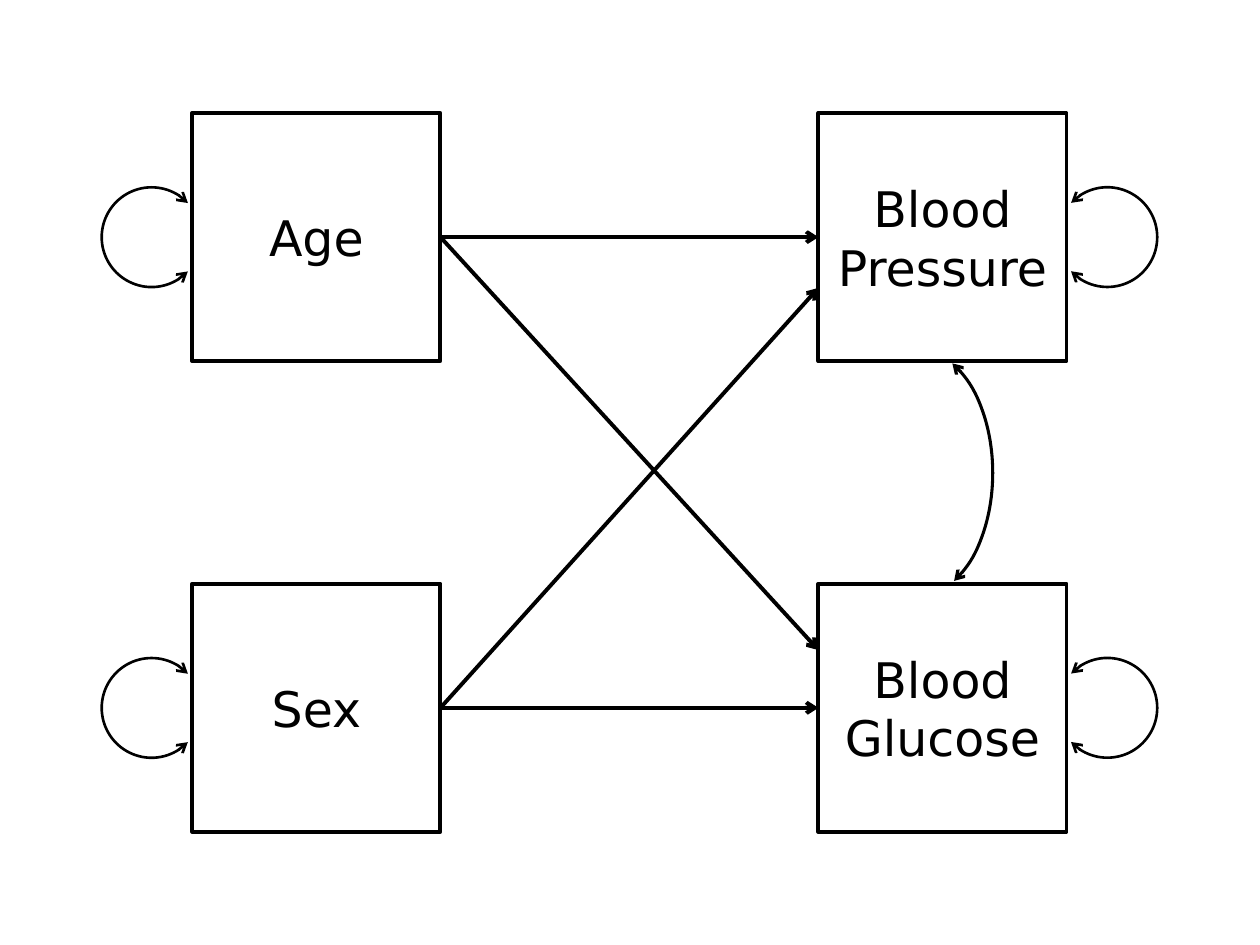
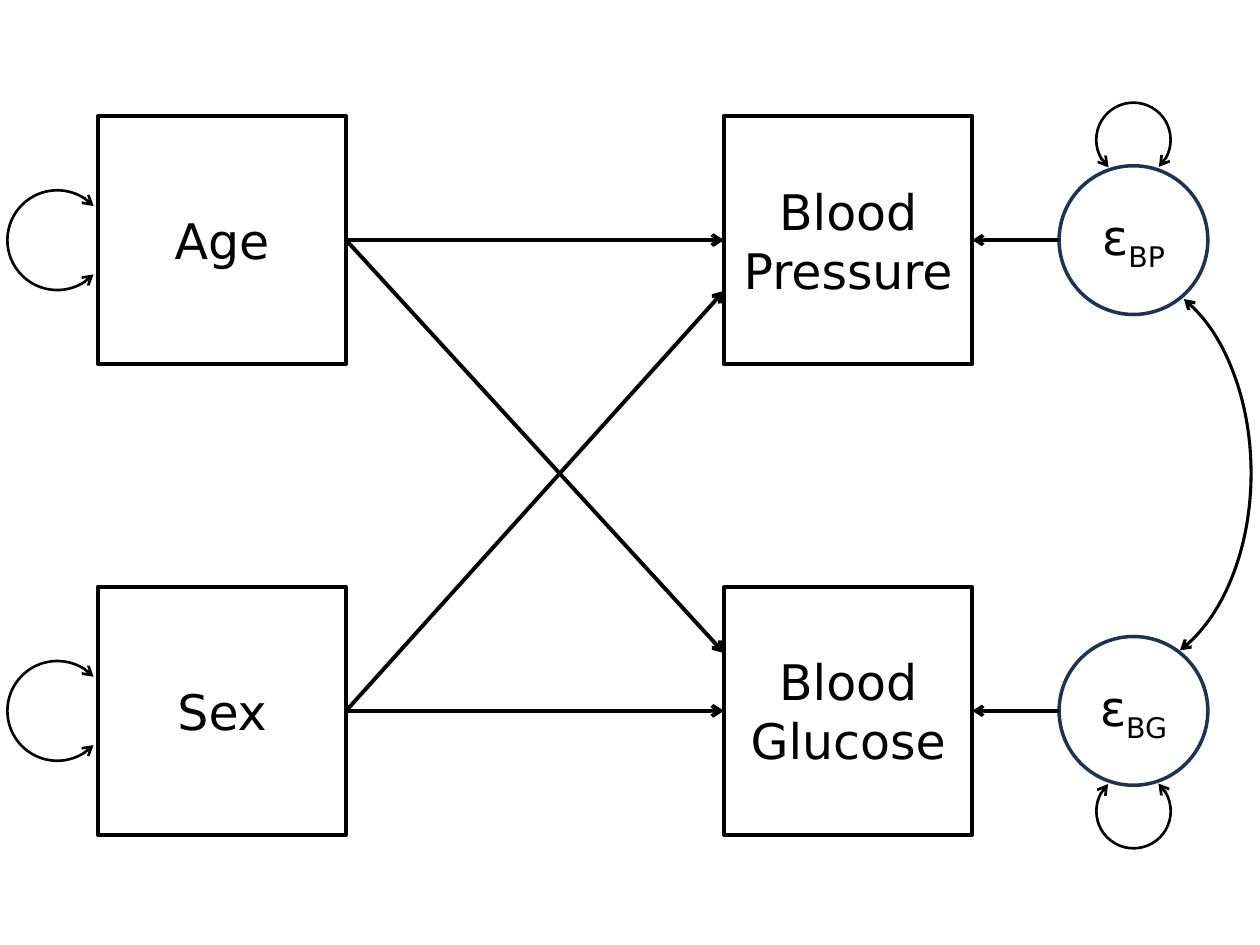
from dataclasses import dataclass

from lxml import etree
from pptx import Presentation
from pptx.dml.color import RGBColor
from pptx.enum.shapes import MSO_CONNECTOR, MSO_SHAPE
from pptx.enum.text import MSO_ANCHOR, PP_ALIGN
from pptx.oxml.ns import qn
from pptx.shapes.autoshape import Shape
from pptx.shapes.connector import Connector
from pptx.slide import Slide
from pptx.util import Pt

RECTANGLE, ELLIPSE, ARC = MSO_SHAPE.RECTANGLE, MSO_SHAPE.OVAL, MSO_SHAPE.ARC
STRAIGHT = MSO_CONNECTOR.STRAIGHT
CENTER, MIDDLE = PP_ALIGN.CENTER, MSO_ANCHOR.MIDDLE
LEFT_SIDE, RIGHT_SIDE = 1, 3

FONT, FONT_SIZE = "DejaVu Sans", 28
BLACK, WHITE, NAVY = "000000", "FFFFFF", "1E3256"
PATH_WIDTH, ERROR_WIDTH, COVARIANCE_WIDTH, LOOP_WIDTH = 2.25, 2, 1.75, 1.5

# Grid of the path diagram, in points
BOX = 141.8
COLUMN_PITCH, ROW_PITCH = 357.8, 269
LOOP, LOOP_OVERLAP = 57, 5.2
ERROR, ERROR_GAP = 85, 49.6
ERROR_LOOP, ERROR_LOOP_OVERLAP = 42.5, 6.4
CROSS_DOWN, CROSS_UP = 33, 29  # distance of the crossing arrowheads from mid-side
LOOP_START, LOOP_END = 223.4, 136.8


@dataclass(frozen=True)
class Variable:
    label: str
    column: int
    row: int


@dataclass(frozen=True)
class Area:
    left: float
    top: float
    width: float
    height: float


@dataclass(frozen=True)
class Arc:
    area: Area
    start: float
    end: float
    width: float
    turn: float = 0


AGE = Variable("Age", 0, 0)
SEX = Variable("Sex", 0, 1)
PRESSURE = Variable("Blood Pressure", 1, 0)
GLUCOSE = Variable("Blood Glucose", 1, 1)
VARIABLES = (AGE, SEX, PRESSURE, GLUCOSE)


def color(value: str) -> RGBColor:
    return RGBColor.from_string(value)


def add_arrowheads(item: Shape | Connector, *ends: str) -> None:
    outline = item._element.spPr.find(qn("a:ln"))
    for end in ends:
        etree.SubElement(outline, qn(f"a:{end}"), type="arrow")


def set_line(item: Shape | Connector, width: float, line_color: str = BLACK) -> None:
    item.line.color.rgb = color(line_color)
    item.line.width = Pt(width)


def add_outline(slide: Slide, kind: MSO_SHAPE, area: Area) -> Shape:
    shape = slide.shapes.add_shape(
        kind, Pt(area.left), Pt(area.top), Pt(area.width), Pt(area.height))
    shape.shadow.inherit = False
    return shape


def add_node(slide: Slide, kind: MSO_SHAPE, area: Area, label: str,
             width: float, line_color: str, subscript: str = "") -> Shape:
    node = add_outline(slide, kind, area)
    node.fill.solid()
    node.fill.fore_color.rgb = color(WHITE)
    set_line(node, width, line_color)
    frame = node.text_frame
    frame.text = label
    frame.word_wrap = True
    frame.vertical_anchor = MIDDLE
    paragraph = frame.paragraphs[0]
    paragraph.alignment = CENTER
    if subscript:
        index = paragraph.add_run()
        index.text = subscript
        index.font._element.set("baseline", "-25000")
    for run in paragraph.runs:
        run.font.name = FONT
        run.font.size = Pt(FONT_SIZE)
        run.font.color.rgb = color(BLACK)
    return node


def add_arc(slide: Slide, arc: Arc) -> None:
    curve = add_outline(slide, ARC, arc.area)
    # Adjustments count 60000ths of a degree in units of 100000
    curve.adjustments[0] = arc.start * 0.6
    curve.adjustments[1] = arc.end * 0.6
    curve.rotation = arc.turn
    curve.fill.background()
    set_line(curve, arc.width)
    add_arrowheads(curve, "headEnd", "tailEnd")


def add_arrow(slide: Slide, start: tuple[float, float], end: tuple[float, float],
              width: float) -> Connector:
    arrow = slide.shapes.add_connector(
        STRAIGHT, Pt(start[0]), Pt(start[1]), Pt(end[0]), Pt(end[1]))
    set_line(arrow, width)
    add_arrowheads(arrow, "tailEnd")
    etree.SubElement(arrow._element.spPr, qn("a:effectLst"))
    return arrow


def box_area(origin: tuple[float, float], variable: Variable) -> Area:
    return Area(origin[0] + variable.column * COLUMN_PITCH,
                origin[1] + variable.row * ROW_PITCH, BOX, BOX)


def add_side_loop(slide: Slide, box: Area, on_right: bool) -> None:
    left = box.left + BOX - LOOP_OVERLAP if on_right else box.left + LOOP_OVERLAP - LOOP
    area = Area(left, box.top + (BOX - LOOP) / 2, LOOP, LOOP)
    add_arc(slide, Arc(area, LOOP_START, LOOP_END, LOOP_WIDTH, 0 if on_right else 180))


def add_model(slide: Slide, origin: tuple[float, float]) -> dict[Variable, Shape]:
    """Draw the four variables, their paths and the loops of the predictors."""
    areas = {variable: box_area(origin, variable) for variable in VARIABLES}
    boxes = {variable: add_node(slide, RECTANGLE, area, variable.label, PATH_WIDTH, BLACK)
             for variable, area in areas.items()}
    for predictor in (AGE, SEX):
        source = areas[predictor]
        start = (source.left + BOX, source.top + BOX / 2)
        for outcome in (PRESSURE, GLUCOSE):
            target = areas[outcome]
            rise = outcome.row - predictor.row
            shift = {0: 0, 1: -CROSS_DOWN, -1: CROSS_UP}[rise]
            arrow = add_arrow(slide, start, (target.left, target.top + BOX / 2 + shift),
                              PATH_WIDTH)
            arrow.begin_connect(boxes[predictor], RIGHT_SIDE)
            if rise == 0:
                arrow.end_connect(boxes[outcome], LEFT_SIDE)
        add_side_loop(slide, source, on_right=False)
    return boxes


def add_error(slide: Slide, outcome_box: Shape, box: Area, subscript: str,
              loop_above: bool) -> None:
    """Draw an error term with its arrow to the outcome and its variance loop."""
    left, middle = box.left + BOX + ERROR_GAP, box.top + BOX / 2
    top = middle - ERROR / 2
    add_node(slide, ELLIPSE, Area(left, top, ERROR, ERROR), "ε",
             ERROR_WIDTH, NAVY, subscript)
    arrow = add_arrow(slide, (left, middle), (box.left + BOX, middle), ERROR_WIDTH)
    arrow.end_connect(outcome_box, RIGHT_SIDE)
    loop_top = (top + ERROR_LOOP_OVERLAP - ERROR_LOOP if loop_above
                else top + ERROR - ERROR_LOOP_OVERLAP)
    area = Area(left + (ERROR - ERROR_LOOP) / 2, loop_top, ERROR_LOOP, ERROR_LOOP)
    add_arc(slide, Arc(area, 222, LOOP_END, LOOP_WIDTH, 270 if loop_above else 90))


def build_covariance_slide(slide: Slide) -> None:
    origin = (109.9, 64.6)
    add_model(slide, origin)
    for outcome in (PRESSURE, GLUCOSE):
        add_side_loop(slide, box_area(origin, outcome), on_right=True)
    add_arc(slide, Arc(Area(480.2, 199.4, 87.1, 141.8), 288.11, 70.83, COVARIANCE_WIDTH))


def build_error_slide(slide: Slide) -> None:
    origin = (56, 66.3)
    boxes = add_model(slide, origin)
    for outcome, subscript in ((PRESSURE, "BP"), (GLUCOSE, "BG")):
        add_error(slide, boxes[outcome], box_area(origin, outcome), subscript,
                  loop_above=outcome.row == 0)
    add_arc(slide, Arc(Area(570.2, 157.7, 144.7, 225.4), 288.87, 72.58, COVARIANCE_WIDTH))


def main() -> None:
    presentation = Presentation()
    presentation.slide_width, presentation.slide_height = Pt(720), Pt(540)
    blank = presentation.slide_layouts[6]
    for build in (build_covariance_slide, build_error_slide):
        slide = presentation.slides.add_slide(blank)
        slide.background.fill.solid()
        slide.background.fill.fore_color.rgb = color(WHITE)
        build(slide)
    presentation.save("out.pptx")


if __name__ == "__main__":
    main()
